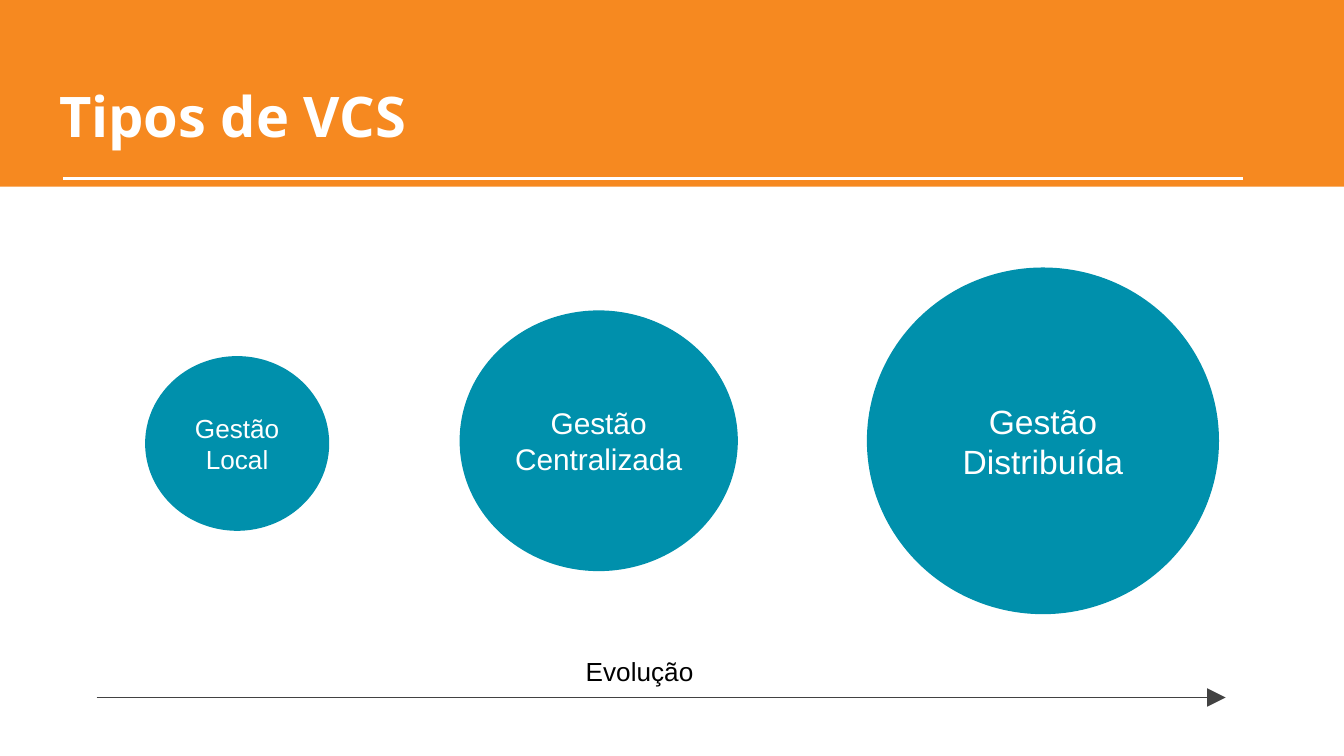
import pptx
import pptx.util
import pptx.dml.color
import pptx.enum.shapes
import pptx.enum.text
import pptx.oxml
import pptx.oxml.ns
from pptx.util import Inches

ORANGE = pptx.dml.color.RGBColor(0xF6, 0x89, 0x20)
TEAL = pptx.dml.color.RGBColor(0x00, 0x90, 0xAC)
GRAY = pptx.dml.color.RGBColor(0x42, 0x42, 0x42)
WHITE = pptx.dml.color.RGBColor(0xFF, 0xFF, 0xFF)
BLACK = pptx.dml.color.RGBColor(0x00, 0x00, 0x00)
SHAPE = pptx.enum.shapes.MSO_SHAPE
ALIGN = pptx.enum.text.PP_ALIGN
ANCHOR = pptx.enum.text.MSO_ANCHOR


def write(shape, text, size, color=WHITE, font="Arial", bold=False,
          align=ALIGN.LEFT, anchor=ANCHOR.TOP):
    frame = shape.text_frame
    frame.word_wrap = True
    frame.auto_size = pptx.enum.text.MSO_AUTO_SIZE.NONE
    frame.vertical_anchor = anchor
    frame.margin_left = frame.margin_right = Inches(0.1)
    frame.margin_top = frame.margin_bottom = Inches(0.1)
    paragraph = frame.paragraphs[0]
    paragraph.alignment = align
    run = paragraph.add_run()
    run.text = text
    run.font.name = font
    run.font.size = pptx.util.Pt(size)
    run.font.bold = bold
    run.font.color.rgb = color


def add_rule(shapes, left, right, y, color, width):
    """Add a horizontal line without a shadow."""
    rule = shapes.add_connector(
        pptx.enum.shapes.MSO_CONNECTOR.STRAIGHT,
        Inches(left), Inches(y), Inches(right), Inches(y))
    rule.line.color.rgb = color
    rule.line.width = pptx.util.Pt(width)
    rule.element.spPr.append(pptx.oxml.parse_xml(
        f"<a:effectLst {pptx.oxml.ns.nsdecls('a')}/>"))
    return rule


deck = pptx.Presentation()
deck.slide_width = Inches(10)
deck.slide_height = Inches(10) * 9 // 16
slide = deck.slides.add_slide(deck.slide_layouts[5])
shapes = slide.shapes

# Header
band = shapes.add_shape(SHAPE.RECTANGLE, 0, Inches(-0.01), Inches(10), Inches(1.4))
band.shadow.inherit = False
band.fill.solid()
band.fill.fore_color.rgb = ORANGE
band.line.fill.background()
add_rule(shapes, 0.47, 9.25, 1.33, WHITE, 1.5)

title = shapes.title
title.left, title.top = Inches(0.34), Inches(0.41)
title.width, title.height = Inches(9.32), Inches(0.8)
write(title, "Tipos de VCS", 30, font="Open Sans", bold=True, anchor=ANCHOR.BOTTOM)
title.element.getparent().append(title.element)  # bring in front of the band

# Stages, growing from left to right
stages = [
    ("Gestão Local", 14, 1.08, 2.65, 1.37, 1.3),
    ("Gestão Centralizada", 16, 3.42, 2.31, 2.07, 1.94),
    ("Gestão Distribuída", 18, 6.45, 1.99, 2.62, 2.58),
]
for label, size, *bounds in stages:
    stage = shapes.add_shape(SHAPE.OVAL, *map(Inches, bounds))
    stage.shadow.inherit = False
    stage.fill.solid()
    stage.fill.fore_color.rgb = TEAL
    stage.line.fill.background()
    write(stage, label, size, align=ALIGN.CENTER, anchor=ANCHOR.MIDDLE)

# Evolution arrow
evolution = add_rule(shapes, 0.72, 9.12, 5.19, GRAY, 0.75)
evolution.element.spPr.find(pptx.oxml.ns.qn("a:ln")).append(pptx.oxml.parse_xml(
    f"<a:tailEnd {pptx.oxml.ns.nsdecls('a')} type='triangle' w='lg' len='lg'/>"))
caption = shapes.add_textbox(Inches(4.26), Inches(4.78), Inches(4.44), Inches(0.52))
write(caption, "Evolução", 14, color=BLACK)

deck.save("out.pptx")
